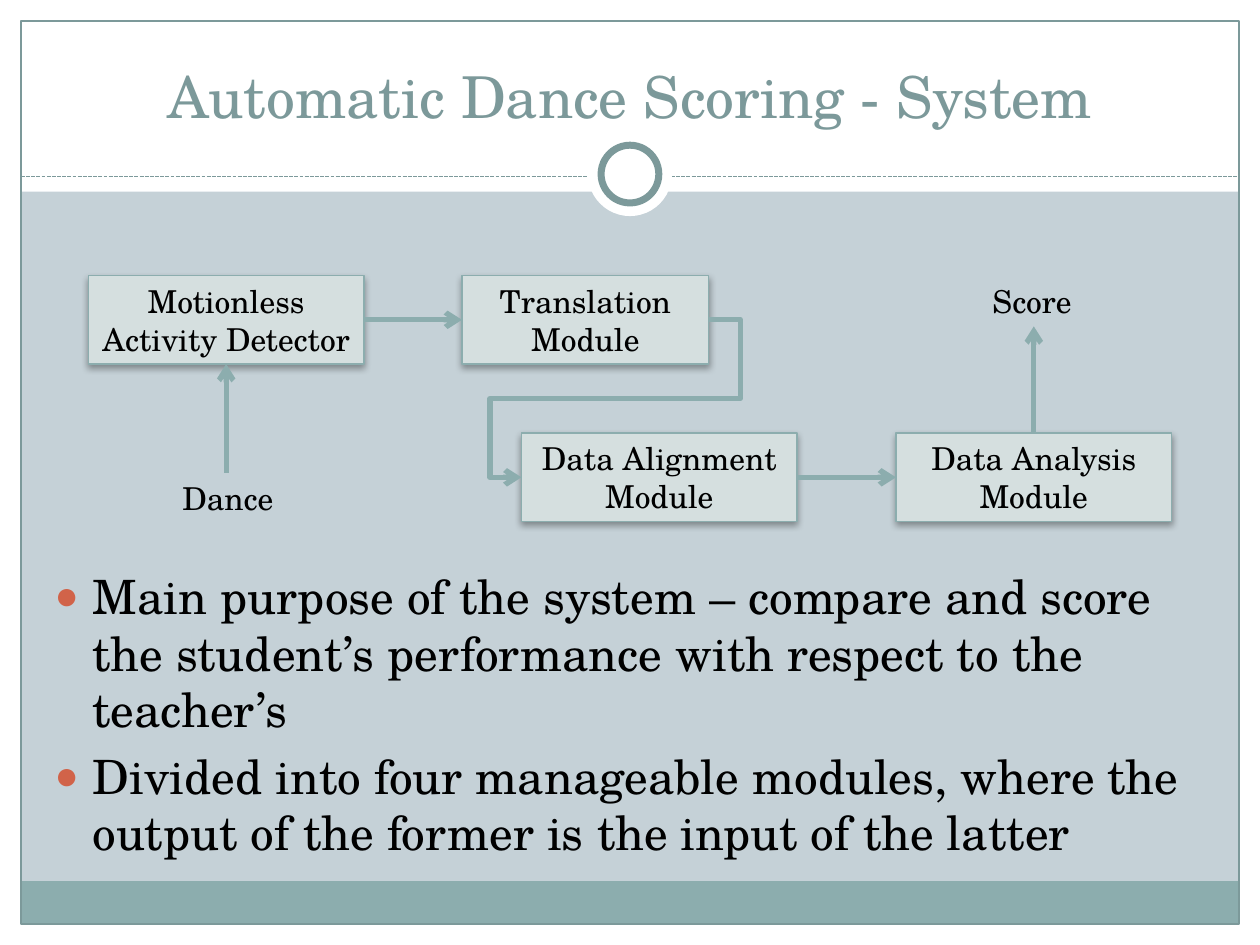
from lxml.etree import SubElement
from pptx import Presentation
from pptx.dml.color import RGBColor
from pptx.enum.dml import MSO_LINE
from pptx.enum.shapes import MSO_CONNECTOR, MSO_SHAPE
from pptx.enum.text import MSO_ANCHOR, MSO_AUTO_SIZE, PP_ALIGN
from pptx.oxml.ns import qn
from pptx.util import Pt

FONT = "TeX Gyre Schola"
WHITE = RGBColor(0xFF, 0xFF, 0xFF)
BLACK = RGBColor(0x00, 0x00, 0x00)
BACKDROP = RGBColor(0xC5, 0xD1, 0xD7)
TEAL = RGBColor(0x8C, 0xAD, 0xAE)
DARK_TEAL = RGBColor(0x7C, 0x99, 0x9A)
PALE_TEAL = RGBColor(0xD5, 0xDF, 0xDF)
BULLET_RED = RGBColor(0xD1, 0x63, 0x49)

WIDTH, HEIGHT, MARGIN = 720, 540, 12
RULE_Y = 101
TOP_ROW, BOTTOM_ROW = 157.5, 247.5
MODULE_WIDTH, MODULE_HEIGHT = 157.5, 50.5
TOP, LEFT, BOTTOM, RIGHT = 0, 1, 2, 3


def add_element(parent, tag, **attributes):
    return SubElement(parent, qn(tag), attributes)


def format_text(paragraph, size, color=BLACK, align=PP_ALIGN.CENTER):
    paragraph.alignment = align
    for span in paragraph.runs:
        span.font.name = FONT
        span.font.size = Pt(size)
        span.font.color.rgb = color


def place(shape, left, top, width, height):
    shape.left, shape.top = Pt(left), Pt(top)
    shape.width, shape.height = Pt(width), Pt(height)


def add_figure(page, kind, bounds, fill=None, line=None, weight=0.75):
    shape = page.shapes.add_shape(kind, *map(Pt, bounds))
    shape.shadow.inherit = False
    if fill is None:
        shape.fill.background()
    else:
        shape.fill.solid()
        shape.fill.fore_color.rgb = fill
    if line is None:
        shape.line.fill.background()
    else:
        shape.line.color.rgb = line
        shape.line.width = Pt(weight)
    return shape


def add_line(page, kind, start, end, color, weight):
    line = page.shapes.add_connector(kind, *map(Pt, start + end))
    line.line.color.rgb = color
    line.line.width = Pt(weight)
    add_element(line.element.spPr, "a:effectLst")
    return line


def add_arrow(page, start, end, kind=MSO_CONNECTOR.STRAIGHT):
    arrow = add_line(page, kind, start, end, TEAL, 3)
    add_element(arrow.line._get_or_add_ln(), "a:tailEnd", type="arrow")
    return arrow


def link(page, source, target, kind=MSO_CONNECTOR.STRAIGHT):
    arrow = add_arrow(page, (0, 0), (0, 0), kind)
    arrow.begin_connect(source, RIGHT)
    arrow.end_connect(target, LEFT)
    return arrow


def link_around(page, source, target):
    arrow = link(page, source, target, MSO_CONNECTOR.ELBOW)
    geometry = arrow.element.spPr.find(qn("a:prstGeom"))
    geometry.set("prst", "bentConnector5")
    guides = geometry.find(qn("a:avLst"))
    for number, value in enumerate((-16800, 50000, 116800), 1):
        add_element(guides, "a:gd", name=f"adj{number}", fmla=f"val {value}")


def add_module(page, text, left, top, width=MODULE_WIDTH):
    box = add_figure(page, MSO_SHAPE.RECTANGLE, (left, top, width, MODULE_HEIGHT), PALE_TEAL, TEAL)
    effects = box.element.spPr.find(qn("a:effectLst"))
    shadow = add_element(effects, "a:outerShdw", blurRad=str(Pt(4)), dist=str(Pt(2)),
                         dir="5400000", rotWithShape="0")
    color = add_element(shadow, "a:srgbClr", val=str(BLACK))
    add_element(color, "a:alpha", val="35000")
    box.text_frame.text = text
    box.text_frame.vertical_anchor = MSO_ANCHOR.MIDDLE
    format_text(box.text_frame.paragraphs[0], 18)
    return box


def add_label(page, text, center, top):
    width = 74
    box = page.shapes.add_textbox(Pt(center - width / 2), Pt(top), Pt(width), Pt(29))
    box.text_frame.word_wrap = True
    box.text_frame.text = text
    format_text(box.text_frame.paragraphs[0], 18)


def add_frame(page):
    inner_width, inner_height = WIDTH - 2 * MARGIN, HEIGHT - 2 * MARGIN
    for bounds in (
        (0, HEIGHT - MARGIN, WIDTH, MARGIN),
        (0, 0, WIDTH, 109.5),
        (0, 0, MARGIN, HEIGHT),
        (WIDTH - MARGIN, 0, MARGIN, HEIGHT),
    ):
        add_figure(page, MSO_SHAPE.RECTANGLE, bounds, WHITE)
    add_figure(page, MSO_SHAPE.RECTANGLE, (MARGIN, 503.5, inner_width, 24.5), TEAL)
    add_figure(page, MSO_SHAPE.RECTANGLE, (MARGIN, MARGIN, inner_width, inner_height), line=DARK_TEAL)
    rule = add_line(page, MSO_CONNECTOR.STRAIGHT, (MARGIN, RULE_Y), (WIDTH - MARGIN, RULE_Y),
                    DARK_TEAL, 0.75)
    rule.line.dash_style = MSO_LINE.SQUARE_DOT
    for size, line in ((48, None), (33, DARK_TEAL)):
        bounds = ((WIDTH - size) / 2, 99.5 - size / 2, size, size)
        add_figure(page, MSO_SHAPE.OVAL, bounds, WHITE, line, 4)


def bring_to_front(shape):
    shape.element.getparent().append(shape.element)


def fill_title(title, text):
    bring_to_front(title)
    place(title, 24, 18, 672, 60)
    title.text_frame.text = text
    title.text_frame.auto_size = MSO_AUTO_SIZE.NONE
    title.text_frame.vertical_anchor = MSO_ANCHOR.BOTTOM
    format_text(title.text_frame.paragraphs[0], 33, DARK_TEAL)


def fill_body(body, items):
    bring_to_front(body)
    place(body, 24, 320.5, 669.5, 160)
    body.text_frame.text = "\n".join(items)
    body.text_frame.auto_size = MSO_AUTO_SIZE.NONE
    for para in body.text_frame.paragraphs:
        format_text(para, 27, align=PP_ALIGN.LEFT)
        properties = para._p.get_or_add_pPr()
        properties.set("marL", str(Pt(21.6)))
        properties.set("indent", str(Pt(-21.6)))
        color = add_element(properties, "a:buClr")
        add_element(color, "a:srgbClr", val=str(BULLET_RED))
        add_element(properties, "a:buSzPct", val="85000")
        add_element(properties, "a:buChar", char="●")


def add_diagram(page):
    detector = add_module(page, "Motionless Activity Detector", 50.5, TOP_ROW)
    translation = add_module(page, "Translation Module", 264, TOP_ROW, 141)
    analysis = add_module(page, "Data Analysis Module", 512, BOTTOM_ROW)
    alignment = add_module(page, "Data Alignment Module", 298, BOTTOM_ROW)
    link(page, detector, translation)
    link_around(page, translation, alignment)
    link(page, alignment, analysis)

    dance_x, score_x = 50.5 + MODULE_WIDTH / 2, 512 + MODULE_WIDTH / 2
    add_label(page, "Dance", dance_x + 1, 270)
    add_label(page, "Score", score_x - 1, TOP_ROW)
    add_arrow(page, (dance_x, 270), (dance_x, 208)).end_connect(detector, BOTTOM)
    add_arrow(page, (score_x, BOTTOM_ROW), (score_x, 186.5)).begin_connect(analysis, TOP)


def main():
    deck = Presentation()
    deck.slide_width, deck.slide_height = Pt(WIDTH), Pt(HEIGHT)
    page = deck.slides.add_slide(deck.slide_layouts[1])
    page.background.fill.solid()
    page.background.fill.fore_color.rgb = BACKDROP
    add_frame(page)
    fill_title(page.shapes.title, "Automatic Dance Scoring - System")
    fill_body(page.placeholders[1], (
        "Main purpose of the system – compare and score the student’s performance "
        "with respect to the teacher’s",
        "Divided into four manageable modules, where the output of the former "
        "is the input of the latter",
    ))
    add_diagram(page)
    deck.save("out.pptx")


if __name__ == "__main__":
    main()
